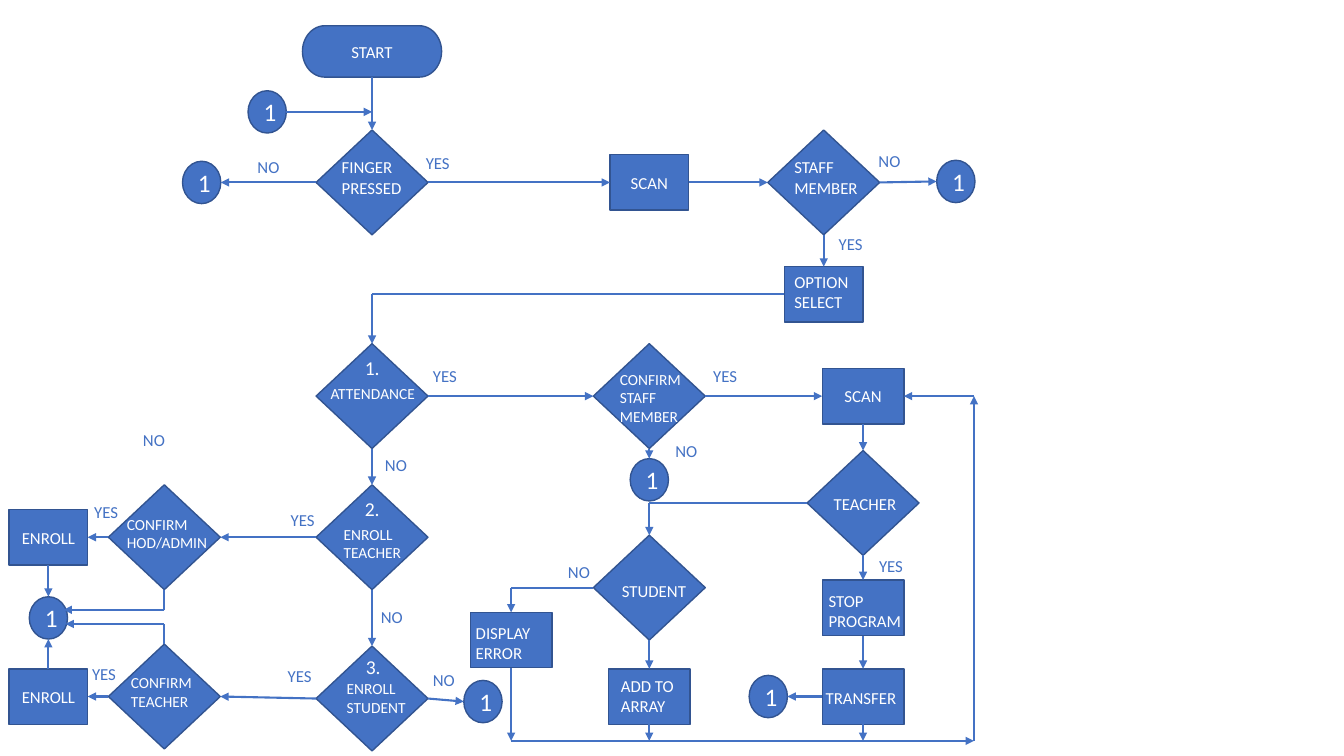
from dataclasses import dataclass
from enum import Enum
from typing import NamedTuple

from lxml.etree import SubElement
from pptx import Presentation
from pptx.dml.color import RGBColor
from pptx.enum.shapes import MSO_CONNECTOR, MSO_SHAPE
from pptx.enum.text import MSO_ANCHOR, MSO_AUTO_SIZE, PP_ALIGN
from pptx.oxml.ns import qn
from pptx.util import Inches, Pt


@dataclass(frozen=True)
class Theme:
    """Colours, type sizes and line weights."""
    font: str = "Calibri"
    blue: RGBColor = RGBColor(0x44, 0x72, 0xC4)
    outline: RGBColor = RGBColor(0x32, 0x54, 0x91)
    white: RGBColor = RGBColor(0xFF, 0xFF, 0xFF)
    small: int = 11
    normal: int = 12
    ordinal: int = 14
    jump: int = 18
    border: float = 1
    arrow: float = 1.5


class Col:
    """Centre lines of the grid columns, in inches."""
    enroll, confirm, main, error = 0.48, 1.63, 3.69, 5.07
    middle, staff, teacher, loop = 6.44, 8.17, 8.56, 9.66


class Row:
    """Centre lines of the grid rows, in inches."""
    start, entry, finger, option, attendance = 0.51, 1.11, 1.81, 2.92, 3.93
    teacher, enroll, student, stop, error = 4.99, 5.33, 5.83, 6.03, 6.35
    upper, lower, last, bus = 6.05, 6.19, 6.91, 7.35


class Kind(Enum):
    """Preset shape, width, height and number of connection sites."""
    TERMINAL = (MSO_SHAPE.FLOWCHART_TERMINATOR, 1.38, 0.51, 4)
    DECISION = (MSO_SHAPE.FLOWCHART_DECISION, 1.11, 1.04, 4)
    BLOCK = (MSO_SHAPE.RECTANGLE, 0.78, 0.55, 4)
    WIDE = (MSO_SHAPE.RECTANGLE, 0.81, 0.55, 4)
    JUMP = (MSO_SHAPE.FLOWCHART_CONNECTOR, 0.38, 0.42, 8)


class Side(Enum):
    """Direction from the centre and order among four sites."""
    TOP = (0, -1, 0)
    LEFT = (-1, 0, 1)
    BOTTOM = (0, 1, 2)
    RIGHT = (1, 0, 3)


class Point(NamedTuple):
    """A place or a shift on the grid, in inches."""
    x: float
    y: float

    def moved(self, shift):
        """Return the point shifted by another."""
        return Point(self.x + shift.x, self.y + shift.y)


class Port(NamedTuple):
    """One side of a step."""
    step: str
    side: Side


@dataclass(frozen=True)
class Step:
    """A flowchart step; a shift puts its caption in a box of its own."""
    kind: Kind
    x: float
    y: float
    caption: str
    shift: Point | None = None
    size: int = Theme.normal
    ordinal: str = ""
    ordinal_shift: Point = Point(-0.17, -0.45)
    caption_width: float = 1.07

    def port(self, side: Side) -> Point:
        """Return the middle of one side."""
        _, width, height, _ = self.kind.value
        dx, dy, _ = side.value
        return Point(self.x + dx * width / 2, self.y + dy * height / 2)


class Link(NamedTuple):
    """A line between two ends, with an answer placed from its start."""
    source: Port | Point
    target: Port | Point
    answer: str = ""
    shift: Point = Point(0, 0)
    arrow: bool = True


def jump(x: float, y: float) -> Step:
    """Return a jump circle."""
    return Step(Kind.JUMP, x, y, "1", size=Theme.jump)


T, L, B, R = Side.TOP, Side.LEFT, Side.BOTTOM, Side.RIGHT
STEPS = {
    "start": Step(Kind.TERMINAL, Col.main, Row.start, "START"),
    "finger": Step(Kind.DECISION, Col.main, Row.finger, "FINGER PRESSED", Point(-0.4, -0.3)),
    "scan": Step(Kind.BLOCK, Col.middle, Row.finger, "SCAN"),
    "staff": Step(Kind.DECISION, Col.staff, Row.finger, "STAFF MEMBER", Point(-0.39, -0.3)),
    "option": Step(Kind.BLOCK, Col.staff, Row.option, "OPTION SELECT", Point(-0.39, -0.27)),
    "attendance": Step(Kind.DECISION, Col.main, Row.attendance, "ATTENDANCE",
                       Point(-0.51, -0.17), Theme.small, "1."),
    "confirm staff": Step(Kind.DECISION, Col.middle, Row.attendance, "CONFIRM STAFF MEMBER",
                          Point(-0.39, -0.31), Theme.small),
    "rescan": Step(Kind.WIDE, Col.teacher, Row.attendance, "SCAN"),
    "teacher": Step(Kind.DECISION, Col.teacher, Row.teacher, "TEACHER", Point(-0.39, -0.14)),
    "enroll teacher": Step(Kind.DECISION, Col.main, Row.enroll, "ENROLL TEACHER",
                           Point(-0.38, -0.17), Theme.small, "2."),
    "confirm admin": Step(Kind.DECISION, Col.confirm, Row.enroll, "CONFIRM HOD/ADMIN",
                          Point(-0.47, -0.27), Theme.small),
    "student": Step(Kind.DECISION, Col.middle, Row.student, "STUDENT", Point(-0.37, -0.12)),
    "enroll student": Step(Kind.DECISION, Col.main, Row.last + 0.02, "ENROLL STUDENT",
                           Point(-0.35, -0.24), Theme.small, "3.", Point(-0.16, -0.48), 0.82),
    "transfer": Step(Kind.WIDE, Col.teacher, Row.last, "TRANSFER", Point(-0.47, -0.14)),
    "stop": Step(Kind.WIDE, Col.teacher, Row.stop, "STOP PROGRAM", Point(-0.44, -0.22)),
    "array": Step(Kind.WIDE, Col.middle, Row.last, "ADD TO ARRAY", Point(-0.38, -0.26)),
    "error": Step(Kind.WIDE, Col.error, Row.error, "DISPLAY ERROR", Point(-0.45, -0.22)),
    "confirm teacher": Step(Kind.DECISION, Col.confirm, Row.last, "CONFIRM TEACHER",
                            Point(-0.43, -0.28), Theme.small),
    "teacher enrolled": Step(Kind.BLOCK, Col.enroll, Row.enroll, "ENROLL"),
    "student enrolled": Step(Kind.BLOCK, Col.enroll, Row.last, "ENROLL"),
    "entry": jump(2.65, Row.entry),
    "not pressed": jump(2, Row.finger),
    "not staff": jump(9.48, Row.finger - 0.01),
    "enrolled": jump(Col.enroll, 6.13),
    "no option": jump(4.79, Row.last + 0.05),
    "transferred": jump(7.62, Row.last),
    "unconfirmed": jump(Col.middle, 4.76),
}
LINKS = [
    Link(Port("start", B), Port("finger", T)),
    Link(Port("entry", R), Point(Col.main, Row.entry)),
    Link(Port("finger", L), Port("not pressed", R), "NO", Point(-0.68, -0.3)),
    Link(Port("finger", R), Port("scan", L), "YES", Point(-0.12, -0.34)),
    Link(Port("scan", R), Port("staff", L)),
    Link(Port("staff", R), Port("not staff", L), "NO", Point(-0.11, -0.36)),
    Link(Port("staff", B), Port("option", T), "YES", Point(0.05, -0.06)),
    Link(Port("option", L), Point(Col.main, Row.option), arrow=False),
    Link(Point(Col.main, Row.option), Port("attendance", T)),
    Link(Port("attendance", R), Port("confirm staff", L), "YES", Point(-0.05, -0.35)),
    Link(Port("attendance", B), Port("enroll teacher", T), "NO", Point(0.03, 0.01)),
    Link(Port("confirm staff", R), Port("rescan", L), "YES", Point(-0.02, -0.35)),
    Link(Port("confirm staff", B), Port("unconfirmed", T), "NO", Point(0.16, -0.13)),
    Link(Port("rescan", B), Port("teacher", T)),
    Link(Port("teacher", B), Port("stop", T), "YES", Point(0.06, -0.05)),
    Link(Port("teacher", L), Point(Col.middle, Row.teacher), arrow=False),
    Link(Point(Col.middle, Row.teacher), Port("student", T)),
    Link(Port("stop", B), Port("transfer", T)),
    Link(Port("transfer", L), Port("transferred", R)),
    Link(Port("student", B), Port("array", T)),
    Link(Port("student", L), Point(Col.error, Row.student), "NO", Point(-0.35, -0.31), False),
    Link(Point(Col.error, Row.student), Port("error", T)),
    Link(Port("error", B), Point(Col.error, Row.bus)),
    Link(Port("array", B), Point(Col.middle, Row.bus)),
    Link(Port("transfer", B), Point(Col.teacher, Row.bus)),
    Link(Point(Col.error, Row.bus), Point(Col.loop, Row.bus)),
    Link(Point(Col.loop, Row.bus), Point(Col.loop, Row.attendance)),
    Link(Point(Col.loop, Row.attendance), Port("rescan", R)),
    Link(Port("enroll teacher", L), Port("confirm admin", R), "YES", Point(-0.35, -0.32)),
    Link(Port("enroll teacher", B), Port("enroll student", T), "NO", Point(-0.01, 0.12)),
    Link(Port("enroll student", L), Port("confirm teacher", R), "YES", Point(-0.38, -0.37)),
    Link(Port("enroll student", R), Port("no option", L), "NO", Point(-0.05, -0.33)),
    Link(Port("confirm admin", L), Port("teacher enrolled", R), "YES", Point(-0.24, -0.4)),
    Link(Port("confirm teacher", L), Port("student enrolled", R), "YES", Point(-0.26, -0.37)),
    Link(Port("teacher enrolled", B), Port("enrolled", T)),
    Link(Port("student enrolled", T), Port("enrolled", B)),
    Link(Port("confirm admin", B), Point(Col.confirm, Row.upper), arrow=False),
    Link(Point(Col.confirm, Row.upper), Point(0.63, Row.upper)),
    Link(Port("confirm teacher", T), Point(Col.confirm, Row.lower), arrow=False),
    Link(Point(Col.confirm, Row.lower), Point(0.65, Row.lower)),
]


def write(frame, text: str, *, size: int, color=Theme.white, align=PP_ALIGN.LEFT,
          anchor=MSO_ANCHOR.TOP) -> None:
    """Fill a text frame with one formatted run."""
    frame.word_wrap, frame.vertical_anchor = True, anchor
    frame.paragraphs[0].alignment = align
    run = frame.paragraphs[0].add_run()
    run.text = text
    run.font.name, run.font.size, run.font.color.rgb = Theme.font, Pt(size), color


def add_caption(slide, text: str, place: Point, size: int = Theme.normal,
                color=Theme.white, width: float = 1.07) -> None:
    """Place a free caption by its top left corner."""
    height = 0.1 + size / 60
    box = slide.shapes.add_textbox(*map(Inches, (*place, width, height)))
    write(box.text_frame, text, size=size, color=color)
    box.text_frame.auto_size = MSO_AUTO_SIZE.SHAPE_TO_FIT_TEXT


def add_step(slide, step: Step):
    """Draw the outline of a step, with its text when centred."""
    preset, width, height, _ = step.kind.value
    corner = (step.x - width / 2, step.y - height / 2)
    shape = slide.shapes.add_shape(preset, *map(Inches, (*corner, width, height)))
    shape.shadow.inherit = False
    shape.fill.solid()
    shape.fill.fore_color.rgb = Theme.blue
    shape.line.color.rgb, shape.line.width = Theme.outline, Pt(Theme.border)
    if step.shift is None:
        write(shape.text_frame, step.caption, size=step.size,
              align=PP_ALIGN.CENTER, anchor=MSO_ANCHOR.MIDDLE)
    return shape


def add_step_captions(slide, step: Step) -> None:
    """Write the free caption and the ordinal of a step."""
    centre = Point(step.x, step.y)
    if step.shift:
        add_caption(slide, step.caption, centre.moved(step.shift), step.size,
                    width=step.caption_width)
    if step.ordinal:
        add_caption(slide, step.ordinal, centre.moved(step.ordinal_shift), Theme.ordinal)


def locate(end: Port | Point) -> Point:
    """Return the place of a link end."""
    return STEPS[end.step].port(end.side) if isinstance(end, Port) else end


def add_link(slide, link: Link, drawn: dict) -> None:
    """Draw a link glued to its steps, and its answer."""
    start, finish = locate(link.source), locate(link.target)
    line = slide.shapes.add_connector(MSO_CONNECTOR.STRAIGHT, *map(Inches, (*start, *finish)))
    line.line.color.rgb, line.line.width = Theme.blue, Pt(Theme.arrow)
    if link.arrow:
        SubElement(line.get_or_add_ln(), qn("a:tailEnd"), type="triangle")
    SubElement(line._element.spPr, qn("a:effectLst"))
    glue = line._element.find(".//" + qn("p:cNvCxnSpPr"))
    for tag, end in (("a:stCxn", link.source), ("a:endCxn", link.target)):
        if isinstance(end, Port):
            site = end.side.value[2] * STEPS[end.step].kind.value[3] // 4
            SubElement(glue, qn(tag), id=str(drawn[end.step].shape_id), idx=str(site))
    if link.answer:
        add_caption(slide, link.answer, start.moved(link.shift), color=Theme.blue)


def main() -> None:
    """Build the flowchart slide."""
    deck = Presentation()
    deck.slide_width, deck.slide_height = Inches(13.33), Inches(7.5)
    slide = deck.slides.add_slide(deck.slide_layouts[6])
    drawn = {name: add_step(slide, step) for name, step in STEPS.items()}
    for link in LINKS:
        add_link(slide, link, drawn)
    for step in STEPS.values():
        add_step_captions(slide, step)
    unlinked = STEPS["confirm admin"].port(T).moved(Point(-0.31, -0.6))
    add_caption(slide, "NO", unlinked, color=Theme.blue)
    deck.save("out.pptx")


main()
